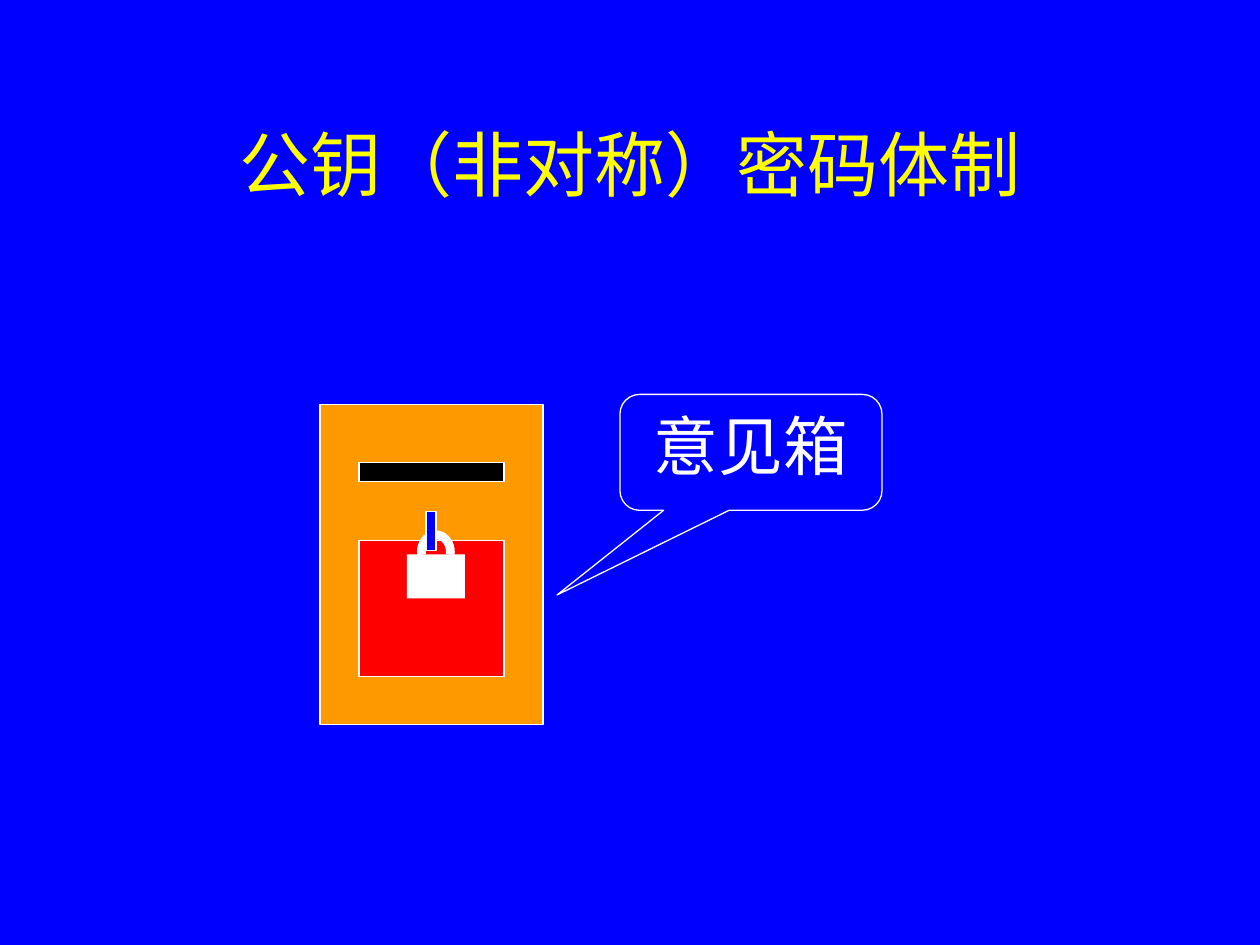
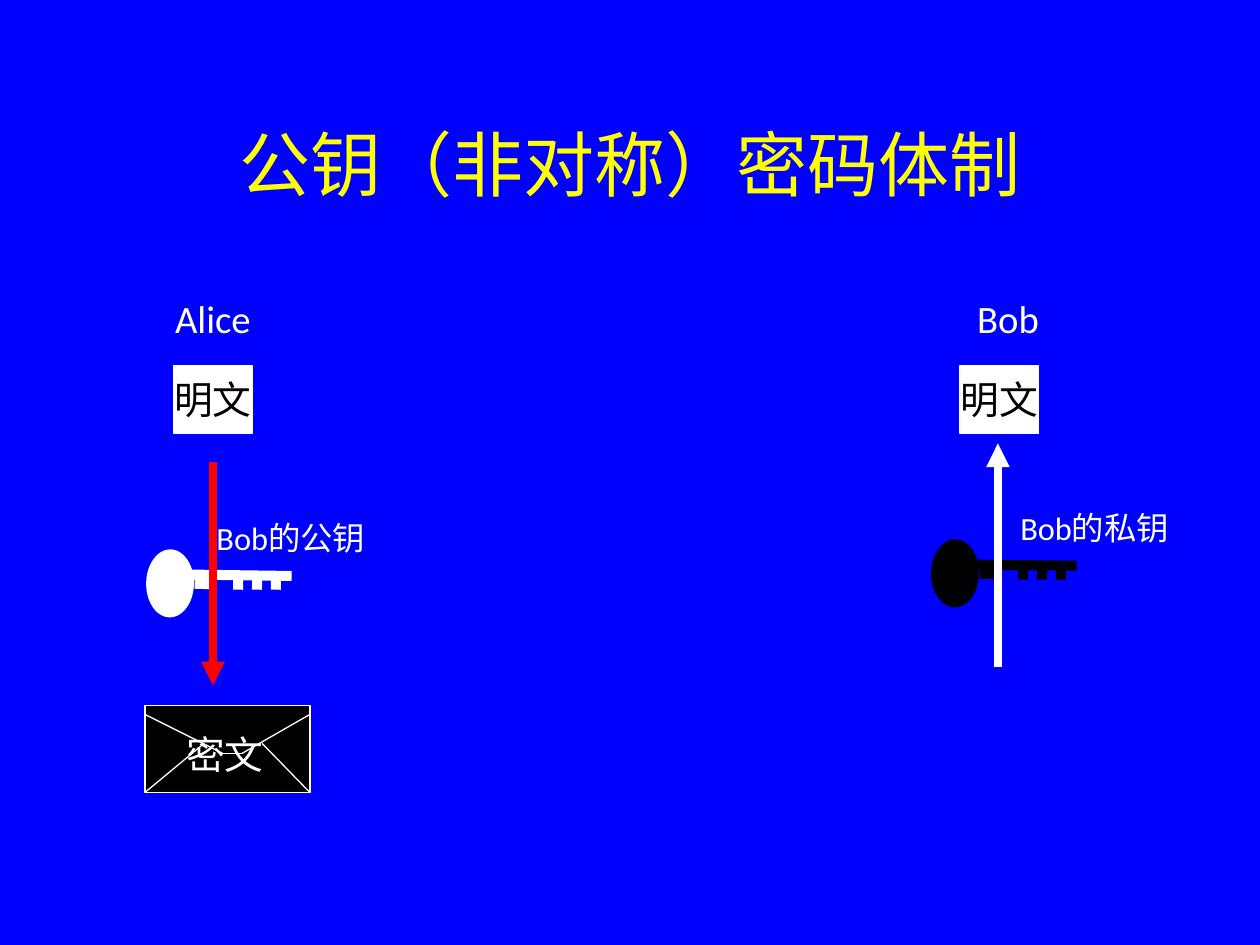
from dataclasses import dataclass
from math import cos, radians, sin

from lxml.etree import SubElement
from pptx import Presentation
from pptx.dml.color import RGBColor
from pptx.enum.shapes import MSO_CONNECTOR, MSO_SHAPE
from pptx.enum.text import MSO_ANCHOR, MSO_AUTO_SIZE, PP_ALIGN
from pptx.oxml.ns import qn
from pptx.util import Inches, Pt


@dataclass(frozen=True)
class Theme:
    blue: str = "0000FF"
    yellow: str = "FFFF00"
    white: str = "FFFFFF"
    black: str = "000000"
    orange: str = "FF9900"
    red: str = "FF0000"
    latin: str = "Calibri"
    serif: str = "Times New Roman"
    cjk: str = "Noto Sans CJK SC"
    title_size: float = 40.6
    callout_size: float = 36.9
    body_size: float = 22.1
    key_size: float = 18.5
    thin: float = 0.75
    thick: float = 4.5


T = Theme()
TITLE = "公钥（非对称）密码体制"


def inches(*values):
    return [Inches(v) for v in values]


def set_text(sp, text, size, color, font=T.latin, align=PP_ALIGN.CENTER, **frame):
    """Write one run; frame holds further text frame attributes."""
    tf = sp.text_frame
    for name, value in {"word_wrap": True, "auto_size": MSO_AUTO_SIZE.NONE, **frame}.items():
        setattr(tf, name, value)
    p = tf.paragraphs[0]
    p.alignment = align
    r = p.add_run()
    r.text = text
    for name, value in {"size": Pt(size), "name": font, "bold": False}.items():
        setattr(r.font, name, value)
    r.font.color.rgb = RGBColor.from_string(color)
    SubElement(r.font._element, qn("a:ea"), typeface=T.cjk)


def paint(sp, fill=None, line=None):
    sp.shadow.inherit = False
    if fill:
        sp.fill.solid()
        sp.fill.fore_color.rgb = RGBColor.from_string(fill)
    else:
        sp.fill.background()
    if line:
        sp.line.color.rgb = RGBColor.from_string(line)
        sp.line.width = Pt(T.thin)
    else:
        sp.line.fill.background()
    return sp


def add_shape(parent, box, fill=None, line=None, kind=MSO_SHAPE.RECTANGLE):
    return paint(parent.shapes.add_shape(kind, *inches(*box)), fill, line)


def add_label(parent, box, text, size=T.body_size, align=PP_ALIGN.CENTER):
    sp = parent.shapes.add_textbox(*inches(*box))
    set_text(sp, text, size, T.white, align=align, auto_size=MSO_AUTO_SIZE.SHAPE_TO_FIT_TEXT)


def add_line(parent, start, end, color=T.white, width=T.thin, arrow=False):
    sp = parent.shapes.add_connector(MSO_CONNECTOR.STRAIGHT, *inches(*start, *end))
    sp.line.color.rgb = RGBColor.from_string(color)
    sp.line.width = Pt(width)
    if arrow:
        SubElement(sp.line._get_or_add_ln(), qn("a:tailEnd"), type="triangle")
    SubElement(sp._element.spPr, qn("a:effectLst"))


def add_padlock(s):
    lock = s.shapes.add_group_shape()
    add_shape(lock, (3.23, 4.4, 0.46, 0.35), T.white)

    def arc(rx, ry, angles):
        return [inches(3.46 + rx * cos(radians(a)), 4.38 - ry * sin(radians(a))) for a in angles]

    outline = arc(0.15, 0.17, range(-10, 191, 10)) + arc(0.08, 0.1, range(190, -11, -10))
    fb = lock.shapes.build_freeform(*outline[0])
    fb.add_line_segments(outline[1:], close=True)
    paint(fb.convert_to_shape(), T.white)


def add_key(s, left, top, angle, color):
    """Draw a key of upright parts, each turned by angle; left, top place its bow."""
    key = s.shapes.add_group_shape()
    bow = add_shape(key, (left, top, 0.54, 0.38), color, kind=MSO_SHAPE.OVAL)
    blade = [(0.77, -0.3, 0.85), (0.5, 0.12, 0.15)]
    teeth = [(0.77 + 0.15 * i, 0.16, 0.08) for i in range(3)]
    bars = [add_shape(key, (left + dx, top + dy, 0.08, height), color)
            for dx, dy, height in blade + teeth]
    for sp in [bow, *bars]:
        sp.rotation = angle


def add_envelope(s, text):
    envelope = s.shapes.add_group_shape()
    left, right, top, bottom = 1.15, 2.46, 5.6, 6.29
    add_shape(envelope, (left, top, right - left, bottom - top), T.black, T.white)
    flap_left, flap_right = (1.77, 5.98), (1.92, 5.98)
    folds = [
        ((left, 5.67), flap_left),
        ((right, 5.67), flap_right),
        (flap_left, flap_right),
        ((left, bottom), (1.62, 5.9)),
        ((2.08, 5.9), (right, bottom)),
    ]
    for start, end in folds:
        add_line(envelope, start, end)
    add_label(envelope, (1.38, 5.75, 0.85, 0.47), text, align=PP_ALIGN.LEFT)


def add_plaintext(s, left):
    sp = add_shape(s, (left, 2.9, 0.62, 0.54), T.white, T.white)
    set_text(sp, "明文", T.body_size, T.black, word_wrap=False,
             vertical_anchor=MSO_ANCHOR.MIDDLE)


def add_titled_slide(prs):
    s = prs.slides.add_slide(prs.slide_layouts[5])
    title = s.shapes.title
    title.left, title.top, title.width, title.height = inches(0.75, 0.67, 8.5, 1.25)
    set_text(title, TITLE, T.title_size, T.yellow, T.cjk, vertical_anchor=MSO_ANCHOR.MIDDLE)
    return s


def build_mailbox_slide(prs):
    s = add_titled_slide(prs)
    add_shape(s, (2.54, 3.21, 1.77, 2.54), T.orange, T.white)
    add_shape(s, (2.85, 3.67, 1.15, 0.15), T.black, T.white)
    add_shape(s, (2.85, 4.29, 1.15, 1.08), T.red, T.white)
    add_padlock(s)
    add_shape(s, (3.38, 4.06, 0.08, 0.31), T.blue, T.white)
    callout = add_shape(s, (4.92, 3.13, 2.08, 0.92), line=T.white,
                        kind=MSO_SHAPE.ROUNDED_RECTANGULAR_CALLOUT)
    for i, value in enumerate((-0.74, 1.23, 0.17)):
        callout.adjustments[i] = value
    set_text(callout, "意见箱", T.callout_size, T.white, T.serif,
             vertical_anchor=MSO_ANCHOR.TOP)


def build_key_pair_slide(prs):
    s = add_titled_slide(prs)
    add_label(s, (1.23, 2.29, 0.92, 0.47), "Alice")
    add_plaintext(s, 1.38)
    add_label(s, (1.62, 4.06, 1.46, 0.41), "Bob的公钥", T.key_size, PP_ALIGN.LEFT)
    add_key(s, 1.08, 4.44, 270.8, T.white)
    add_line(s, (1.69, 3.67), (1.69, 5.44), T.red, T.thick, arrow=True)
    add_envelope(s, "密文")

    add_label(s, (7.54, 2.29, 0.92, 0.47), "Bob")
    add_plaintext(s, 7.62)
    add_key(s, 7.31, 4.36, 270.6, T.black)
    add_label(s, (8, 3.98, 1.46, 0.41), "Bob的私钥", T.key_size, PP_ALIGN.LEFT)
    add_line(s, (7.92, 5.29), (7.92, 3.52), T.white, T.thick, arrow=True)


def main():
    prs = Presentation()
    prs.slide_width, prs.slide_height = inches(10, 7.5)
    background = prs.slide_master.background.fill
    background.solid()
    background.fore_color.rgb = RGBColor.from_string(T.blue)
    build_mailbox_slide(prs)
    build_key_pair_slide(prs)
    prs.save("out.pptx")


if __name__ == "__main__":
    main()
